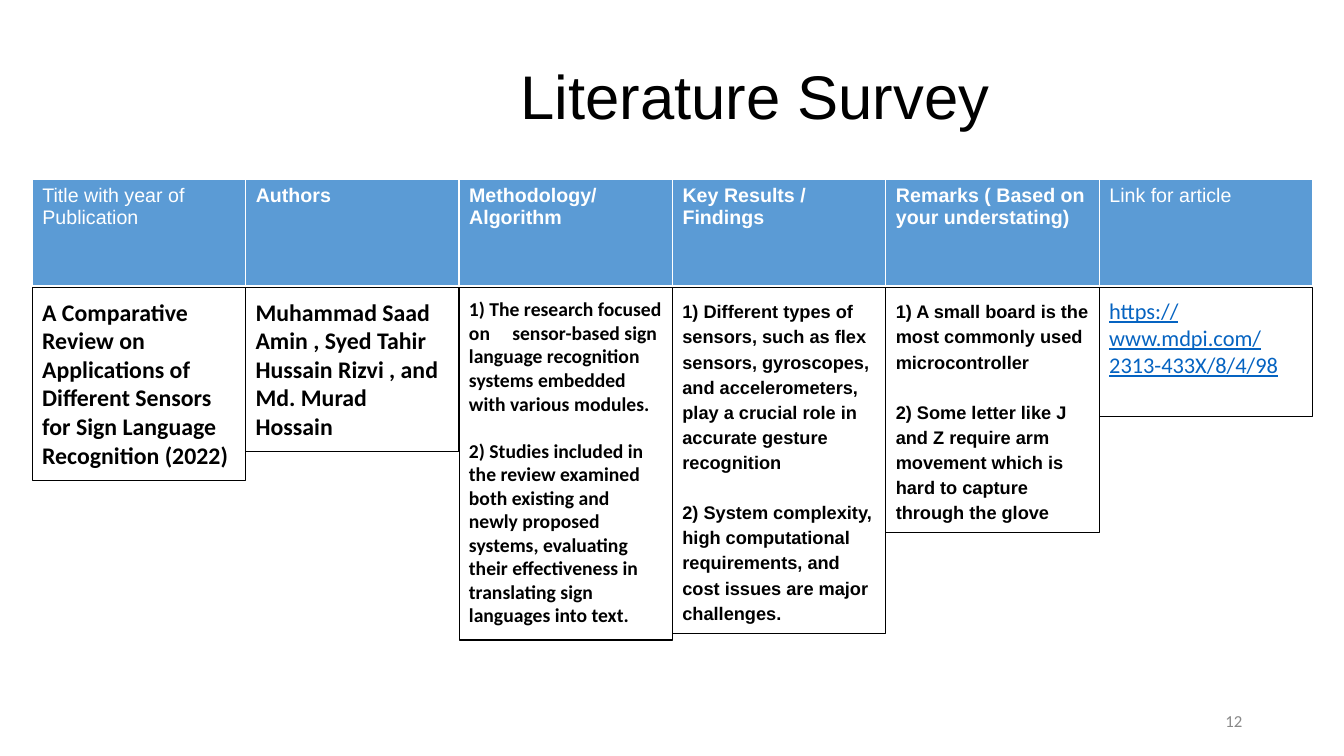
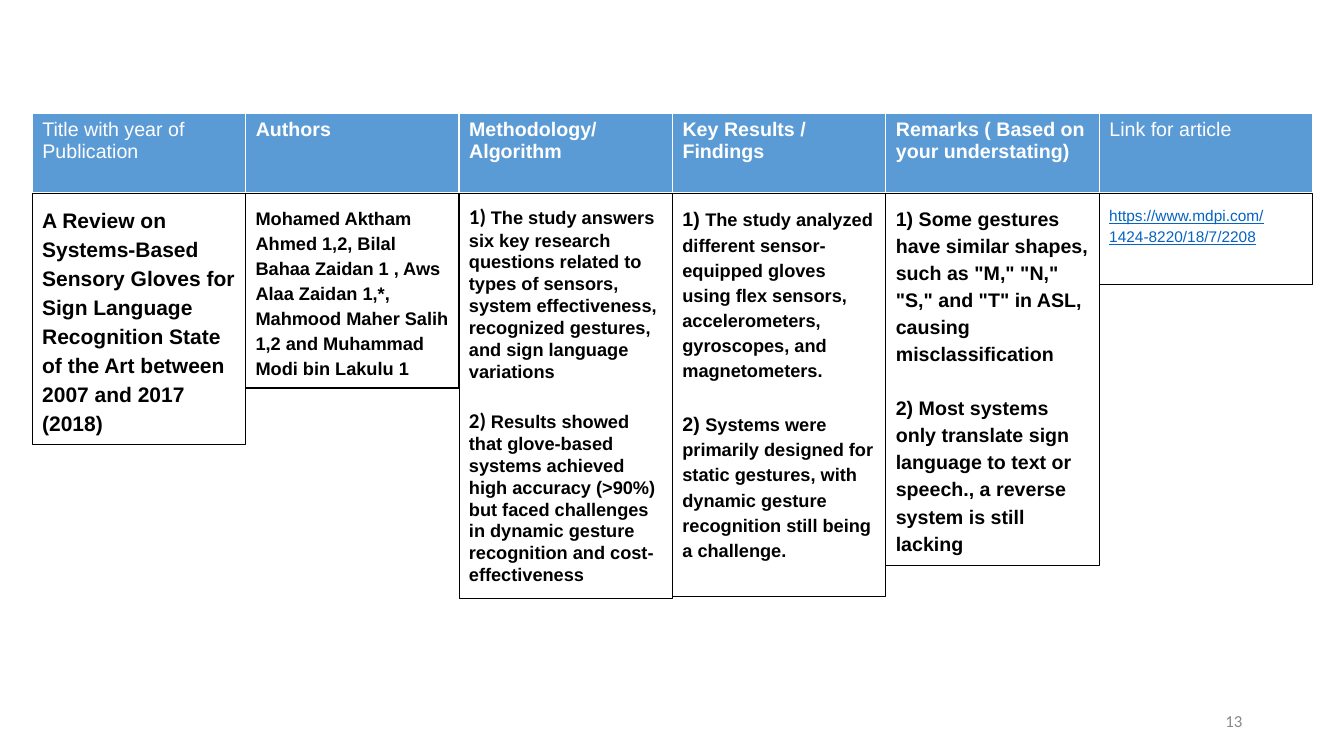
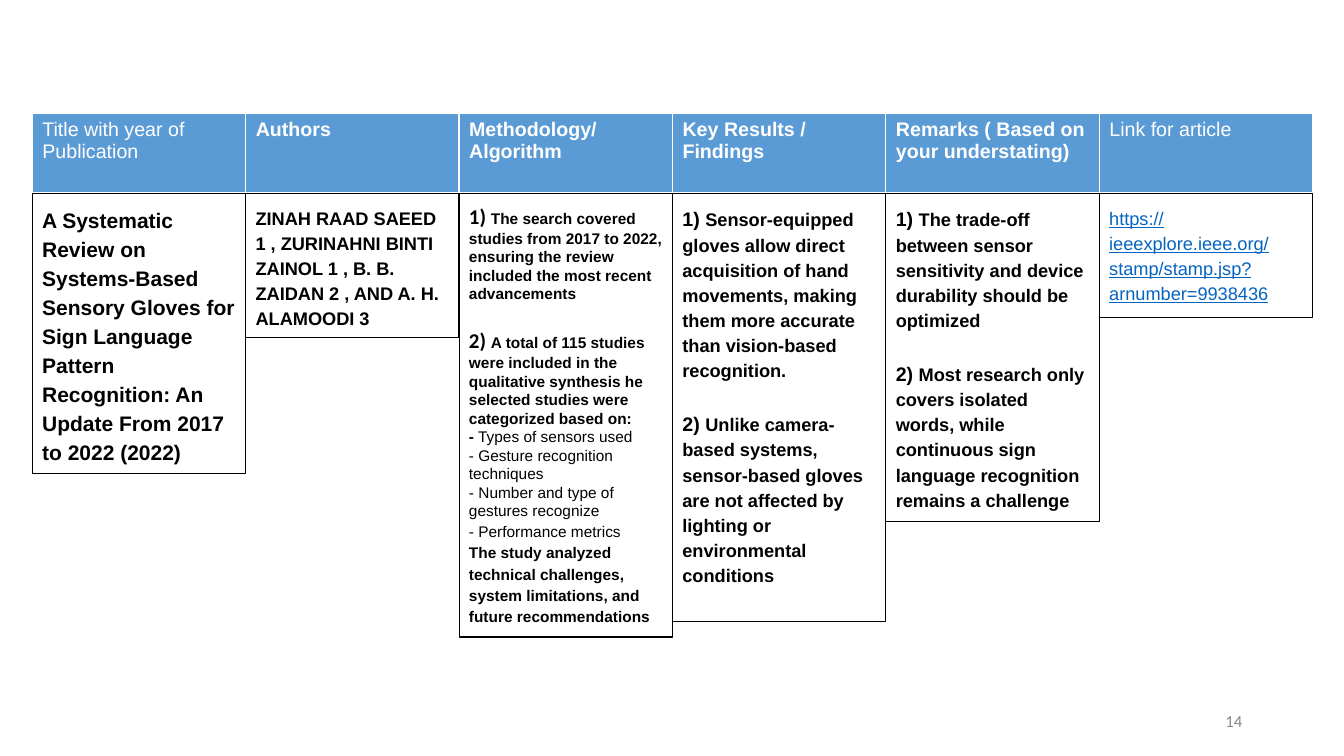
from dataclasses import dataclass

from lxml import etree
from pptx import Presentation
from pptx.dml.color import RGBColor
from pptx.enum.shapes import MSO_SHAPE
from pptx.enum.text import MSO_ANCHOR, PP_ALIGN
from pptx.oxml.ns import qn
from pptx.util import Inches, Pt

RECTANGLE = MSO_SHAPE.RECTANGLE
TOP, MIDDLE = MSO_ANCHOR.TOP, MSO_ANCHOR.MIDDLE
LEFT, CENTER, RIGHT = PP_ALIGN.LEFT, PP_ALIGN.CENTER, PP_ALIGN.RIGHT

# Shared style
BLACK, WHITE, GREY = "000000", "FFFFFF", "888888"
HEADER_BLUE, LINK_BLUE = "5B9BD5", "0563C1"
SANS, BODY = "Arial", "Calibri"
TABLE_LEFT = Inches(0.32)
HEADERS = ("Title with year of Publication", "Authors", "Methodology/ Algorithm",
           "Key Results / Findings", "Remarks ( Based on your understating)",
           "Link for article")
LIGHT_HEADERS = (HEADERS[0], HEADERS[-1])
COLUMN_WIDTH = Inches(12.7) // len(HEADERS)
BORDERS = {"a:lnL": 1, "a:lnR": 1, "a:lnT": 1, "a:lnB": 3}


@dataclass(frozen=True)
class Span:
    text: str
    size: float
    font: str = SANS
    bold: bool = True
    color: str = BLACK
    underline: bool = False


@dataclass(frozen=True)
class Para:
    spans: tuple[Span, ...]
    spacing: float = 1.15
    gap: float = 0
    align: PP_ALIGN = LEFT
    tab: float = 0


@dataclass(frozen=True)
class Entry:
    height: float
    paras: tuple[Para, ...]


@dataclass(frozen=True)
class Survey:
    number: int
    table_top: float
    header_height: float
    entries: tuple[Entry, ...]
    title: str = ""


# Text builders
def line(text: str, size: float, spacing: float = 1.15, gap: float = 0,
         align: PP_ALIGN = LEFT, tab: float = 0, **style) -> Para:
    return Para((Span(text, size, **style),), spacing, gap, align, tab)


def link(text: str, size: float, spacing: float = 1.15, font: str = SANS) -> tuple[Para, ...]:
    return (line(text, size, spacing, font=font, bold=False, color=LINK_BLUE,
                 underline=True),)


def numbered(*points: str, size: float, lead_size: float, font: str = SANS,
             lead_font: str = SANS, spacing: float = 1.15, tab: float = 0) -> tuple[Para, ...]:
    """Numbered points, set apart by the height of one line."""
    gap = round(lead_size * 1.2 * spacing, 1)
    return tuple(
        Para((Span(f"{index}) ", lead_size, lead_font), Span(point, size, font)),
             spacing, gap if index > 1 else 0, LEFT, tab)
        for index, point in enumerate(points, 1))


# Drawing
def rgb(color: str) -> RGBColor:
    return RGBColor.from_string(color)


def write(frame, *paras: Para, anchor: MSO_ANCHOR = TOP, inset: float = 0.05) -> None:
    frame.word_wrap = True
    frame.vertical_anchor = anchor
    frame.margin_left = frame.margin_right = Inches(0.1)
    frame.margin_top = frame.margin_bottom = Inches(inset)
    for index, item in enumerate(paras):
        para = frame.paragraphs[0] if index == 0 else frame.add_paragraph()
        para.alignment = item.align
        para.line_spacing = item.spacing
        para.space_before = Pt(item.gap)
        if item.tab:
            stops = etree.SubElement(para._p.get_or_add_pPr(), qn("a:tabLst"))
            etree.SubElement(stops, qn("a:tab"), pos=str(Inches(item.tab)), algn="l")
        for span in item.spans:
            run = para.add_run()
            run.text = span.text
            run.font.size = Pt(span.size)
            run.font.name = span.font
            run.font.bold = span.bold
            run.font.underline = span.underline
            run.font.color.rgb = rgb(span.color)


def add_label(page, left: float, top: float, width: float, height: float, para: Para) -> None:
    box = page.shapes.add_textbox(Inches(left), Inches(top), Inches(width), Inches(height))
    write(box.text_frame, para, anchor=MIDDLE)


def set_borders(cell) -> None:
    properties = cell._tc.get_or_add_tcPr()
    for index, (tag, width) in enumerate(BORDERS.items()):
        border = etree.Element(qn(tag), w=str(Pt(width)))
        fill = etree.SubElement(border, qn("a:solidFill"))
        etree.SubElement(fill, qn("a:srgbClr"), val=WHITE)
        properties.insert(index, border)


def add_header(page, top: float, height: float) -> None:
    table = page.shapes.add_table(1, len(HEADERS), TABLE_LEFT, Inches(top),
                                  COLUMN_WIDTH * len(HEADERS), Inches(height)).table
    for column, cell, text in zip(table.columns, table.rows[0].cells, HEADERS):
        column.width = COLUMN_WIDTH
        cell.fill.solid()
        cell.fill.fore_color.rgb = rgb(HEADER_BLUE)
        set_borders(cell)
        write(cell.text_frame, line(text, 14, 1.0, color=WHITE,
                                    bold=text not in LIGHT_HEADERS))


def add_entry(page, column: int, top: float, entry: Entry) -> None:
    box = page.shapes.add_shape(RECTANGLE, TABLE_LEFT + column * COLUMN_WIDTH, Inches(top),
                                COLUMN_WIDTH, Inches(entry.height))
    box.shadow.inherit = False
    box.fill.background()
    box.line.color.rgb = rgb(BLACK)
    box.line.width = Pt(0.75)
    write(box.text_frame, *entry.paras, inset=0.1)


def add_survey(deck, survey: Survey) -> None:
    page = deck.slides.add_slide(deck.slide_layouts[6])
    if survey.title:
        add_label(page, 1.74, 0.57, 11.5, 0.83,
                  line(survey.title, 44, 0.9, align=CENTER, bold=False))
    add_label(page, 9.42, 6.95, 3, 0.4,
              line(str(survey.number), 12, 1.0, align=RIGHT, font=BODY, bold=False, color=GREY))
    add_header(page, survey.table_top, survey.header_height)
    for column, entry in enumerate(survey.entries):
        add_entry(page, column, survey.table_top + survey.header_height, entry)


# Content
SENSORS = Survey(12, 1.78, 1.07, title="Literature Survey", entries=(
    Entry(1.92, (line("A Comparative Review on Applications of Different Sensors for Sign "
                      "Language Recognition (2022)", 17, 1.0, font=BODY),)),
    Entry(1.63, (line("Muhammad Saad Amin , Syed Tahir Hussain Rizvi , and Md. Murad Hossain",
                      17, 1.0, font=BODY),)),
    Entry(3.5, numbered(
        "The research focused on\tsensor-based sign language recognition systems embedded "
        "with various modules.",
        "Studies included in the review examined both existing and newly proposed systems, "
        "evaluating their effectiveness in translating sign languages into text.",
        size=14, lead_size=14, font=BODY, lead_font=BODY, spacing=1.0, tab=0.43)),
    Entry(3.44, numbered(
        "Different types of sensors, such as flex sensors, gyroscopes, and accelerometers, "
        "play a crucial role in accurate gesture recognition",
        "System complexity, high computational requirements, and cost issues are major "
        "challenges.", size=13, lead_size=13)),
    Entry(2.43, numbered(
        "A small board is the most commonly used microcontroller",
        "Some letter like J and Z require arm movement which is hard to capture through "
        "the glove", size=13, lead_size=13)),
    Entry(1.28, link("https://www.mdpi.com/2313-433X/8/4/98", 16, 1.0, BODY)),
))

GLOVES = Survey(13, 1.13, 0.79, (
    Entry(2.49, (line("A Review on Systems-Based Sensory Gloves for Sign Language Recognition "
                      "State of the Art between 2007 and 2017 (2018)", 15),)),
    Entry(1.93, (line("Mohamed Aktham Ahmed 1,2, Bilal Bahaa Zaidan 1 , Aws Alaa Zaidan 1,*, "
                      "Mahmood Maher Salih 1,2 and Muhammad Modi bin Lakulu 1", 13),)),
    Entry(4.02, numbered(
        "The study answers six key research questions related to types of sensors, system "
        "effectiveness, recognized gestures, and sign language variations",
        "Results showed that glove-based systems achieved high accuracy (>90%) but faced "
        "challenges in dynamic gesture recognition and cost-effectiveness",
        size=13, lead_size=15, lead_font=BODY, spacing=1.0)),
    Entry(4, numbered(
        "The study analyzed different sensor-equipped gloves using flex sensors, "
        "accelerometers, gyroscopes, and magnetometers.",
        "Systems were primarily designed for static gestures, with dynamic gesture "
        "recognition still being a challenge.", size=13, lead_size=14)),
    Entry(3.69, numbered(
        'Some gestures have similar shapes, such as "M," "N," "S," and "T" in ASL, causing '
        "misclassification",
        "Most systems only translate sign language to text or speech., a reverse system is "
        "still lacking", size=14, lead_size=14)),
    Entry(0.9, link("https://www.mdpi.com/1424-8220/18/7/2208", 11)),
))

PATTERNS = Survey(14, 1.13, 0.79, (
    Entry(2.78, (line("A Systematic Review on Systems-Based Sensory Gloves for Sign Language "
                      "Pattern Recognition: An Update From 2017 to 2022 (2022)", 15),)),
    Entry(1.43, (line("ZINAH RAAD SAEED 1 , ZURINAHNI BINTI ZAINOL 1 , B. B. ZAIDAN 2 , "
                      "AND A. H. ALAMOODI 3", 13),)),
    Entry(4.4, numbered(
        "The search covered studies from 2017 to 2022, ensuring the review included the "
        "most recent advancements",
        "A total of 115 studies were included in the qualitative synthesis he selected "
        "studies were categorized based on:",
        size=11, lead_size=15, lead_font=BODY, spacing=1.0) + (
        Para((Span("-", 11), Span(" Types of sensors used", 11, bold=False)), 1.0),
        line("- Gesture recognition techniques", 11, 1.0, bold=False),
        line("- Number and type of gestures recognize", 11, 1.0, bold=False),
        line("- Performance metrics", 11, bold=False),
        line("The study analyzed technical challenges, system limitations, and future "
             "recommendations", 11))),
    Entry(4.25, numbered(
        "Sensor-equipped gloves allow direct acquisition of hand movements, making them more "
        "accurate than vision-based recognition.",
        "Unlike camera-based systems, sensor-based gloves are not affected by lighting or "
        "environmental conditions", size=13, lead_size=14)),
    Entry(3.25, numbered(
        "The trade-off between sensor sensitivity and device durability should be optimized",
        "Most research only covers isolated words, while continuous sign language recognition "
        "remains a challenge", size=13, lead_size=14)),
    Entry(1.23, link("https://ieeexplore.ieee.org/stamp/stamp.jsp?arnumber=9938436", 13)),
))


def main() -> None:
    deck = Presentation()
    deck.slide_width, deck.slide_height = Inches(13.33), Inches(7.5)
    for survey in (SENSORS, GLOVES, PATTERNS):
        add_survey(deck, survey)
    deck.save("out.pptx")


if __name__ == "__main__":
    main()
